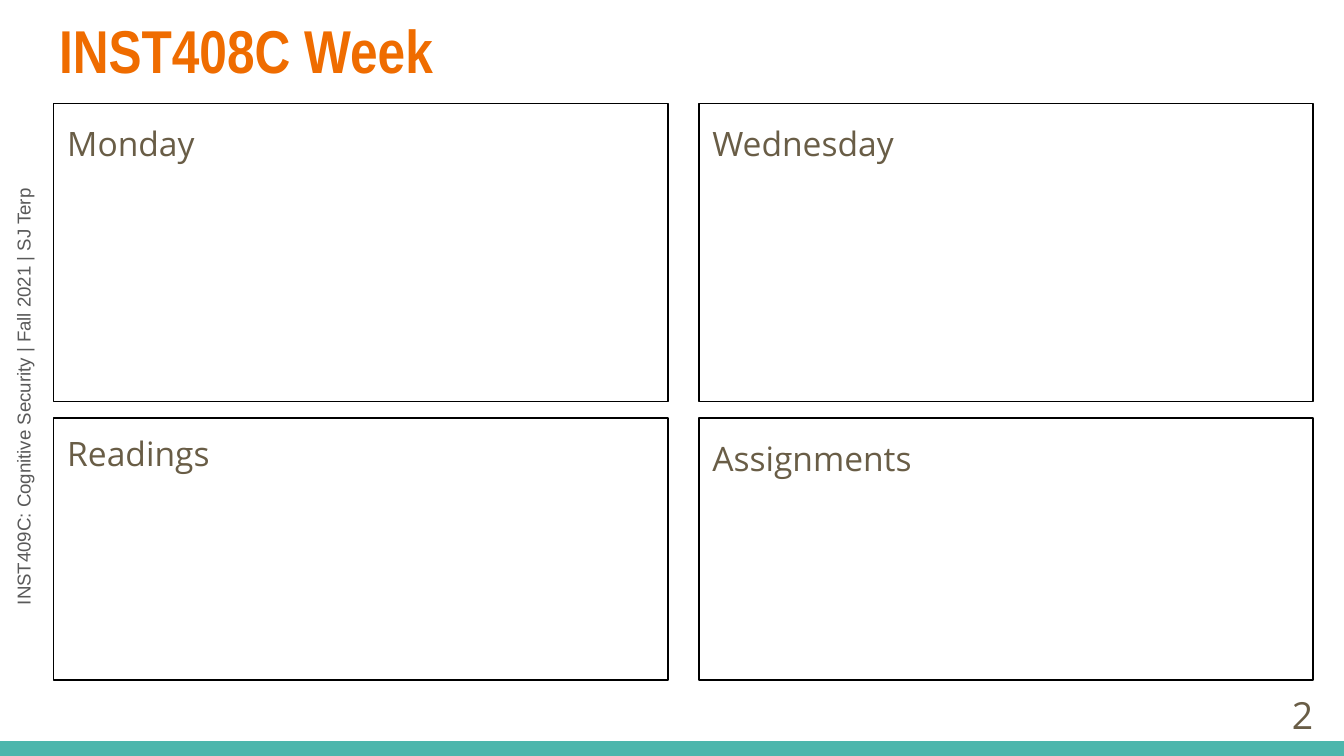
import pptx
import pptx.util
import pptx.dml.color
import pptx.enum.shapes
import pptx.enum.text
import pptx.oxml

Inches, Pt = pptx.util.Inches, pptx.util.Pt
ALIGN, ANCHOR = pptx.enum.text.PP_ALIGN, pptx.enum.text.MSO_ANCHOR
COLORS = {"title": "EF6C00", "body": "695D46", "course": "595959",
          "bar": "4DB6AC", "outline": "000000"}


def place(shape, left, top, width, height):
    shape.left, shape.top = Inches(left), Inches(top)
    shape.width, shape.height = Inches(width), Inches(height)


def write(shape, text, font_name, size, color, bold=False,
          align=ALIGN.LEFT, anchor=ANCHOR.TOP, spacing=1.0):
    frame = shape.text_frame
    frame.word_wrap = True
    frame.auto_size = pptx.enum.text.MSO_AUTO_SIZE.NONE
    frame.vertical_anchor = anchor
    frame.margin_left = frame.margin_right = Inches(0.1)
    frame.margin_top = frame.margin_bottom = Inches(0.1)
    para = frame.paragraphs[0]
    para.text = text
    para.alignment = align
    para.line_spacing = spacing
    para.space_before = Pt(0)
    para.font.name, para.font.size, para.font.bold = font_name, Pt(size), bold
    para.font.color.rgb = pptx.dml.color.RGBColor.from_string(COLORS[color])
    return para


# Widescreen page, 16:9
deck = pptx.Presentation()
deck.slide_width = Inches(10)
deck.slide_height = deck.slide_width * 9 // 16

# The comparison layout has a title and four content placeholders
page = deck.slides.add_slide(deck.slide_layouts[4])

# Course line, running up the left edge
course = page.shapes.add_textbox(0, 0, 0, 0)
place(course, -1.61, 2.63, 3.57, 0.37)
course.rotation = 270
write(course, "INST409C: Cognitive Security | Fall 2021 | SJ Terp",
      "Arial", 10, "course")

# Bar along the bottom edge
bar_height = Inches(0.11)
bar = page.shapes.add_shape(
    pptx.enum.shapes.MSO_SHAPE.RECTANGLE,
    0, deck.slide_height - bar_height, deck.slide_width, bar_height)
bar.shadow.inherit = False
bar.fill.solid()
bar.fill.fore_color.rgb = pptx.dml.color.RGBColor.from_string(COLORS["bar"])
bar.line.fill.background()

# Title
title = page.shapes.title
place(title, 0.34, 0, 9.32, 0.77)
write(title, "INST408C Week", "Arial Narrow", 32.4, "title", bold=True)

# Two-by-two grid of outlined boxes: (heading, line spacing)
columns, column_width = [0.4, 5.2], 4.57
rows = [(0.77, 2.22), (3.11, 1.95)]
headings = [("Monday", 1.15), ("Wednesday", 1.15),
            ("Readings", 1.05), ("Assignments", 1.15)]
boxes = [holder for holder in page.placeholders
         if holder.placeholder_format.idx != 0]
for index, (box, (heading, spacing)) in enumerate(zip(boxes, headings)):
    row, column = divmod(index, 2)
    top, height = rows[row]
    place(box, columns[column], top, column_width, height)
    box.line.color.rgb = pptx.dml.color.RGBColor.from_string(COLORS["outline"])
    box.line.width = Pt(0.75)
    para = write(box, heading, "Open Sans", 18, "body", spacing=spacing)
    # Headings carry no bullet or indent
    properties = para._p.get_or_add_pPr()
    properties.set("marL", "0")
    properties.set("indent", "0")
    properties.insert_element_before(
        pptx.oxml.parse_xml(
            '<a:buNone xmlns:a="http://schemas.openxmlformats.org/drawingml/2006/main"/>'),
        "a:tabLst", "a:defRPr", "a:extLst")

# Page number
number = page.shapes.add_textbox(0, 0, 0, 0)
place(number, 9.27, 5.1, 0.6, 0.43)
write(number, "2", "Open Sans", 20, "body",
      align=ALIGN.RIGHT, anchor=ANCHOR.MIDDLE)

deck.save("out.pptx")
